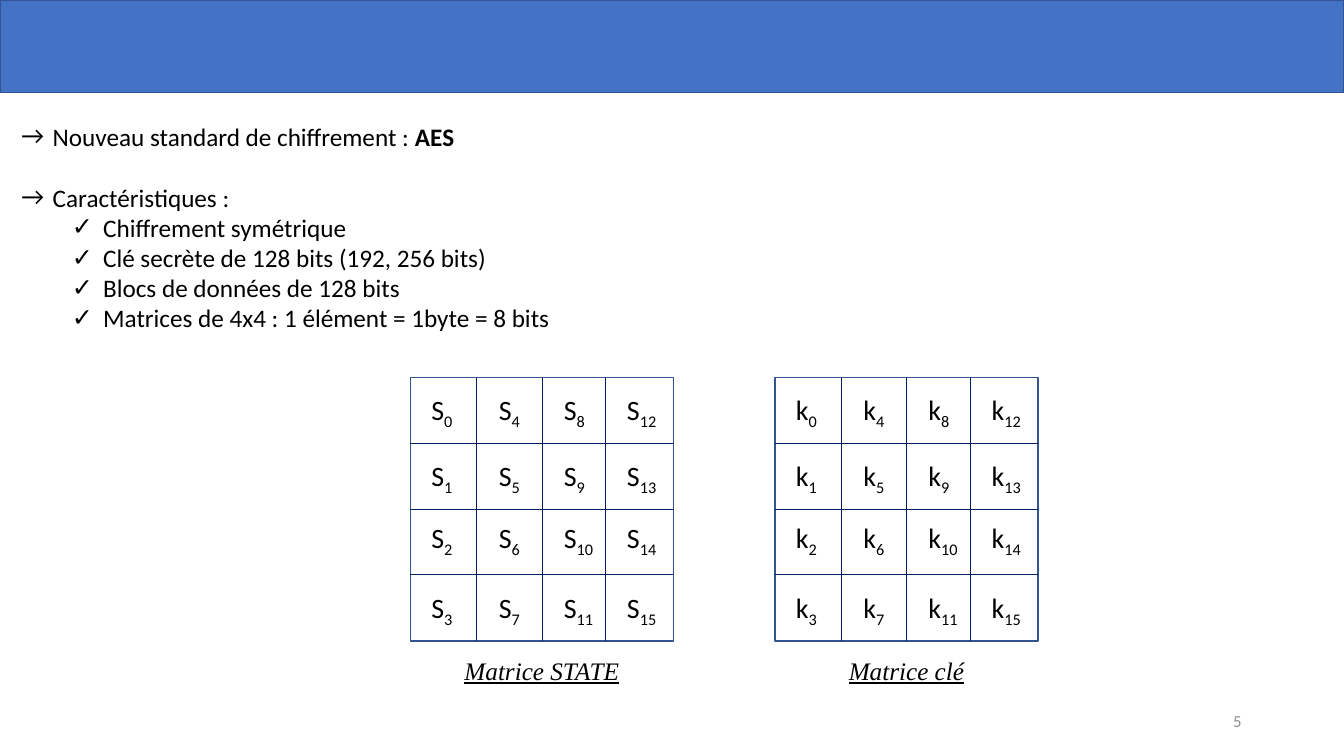
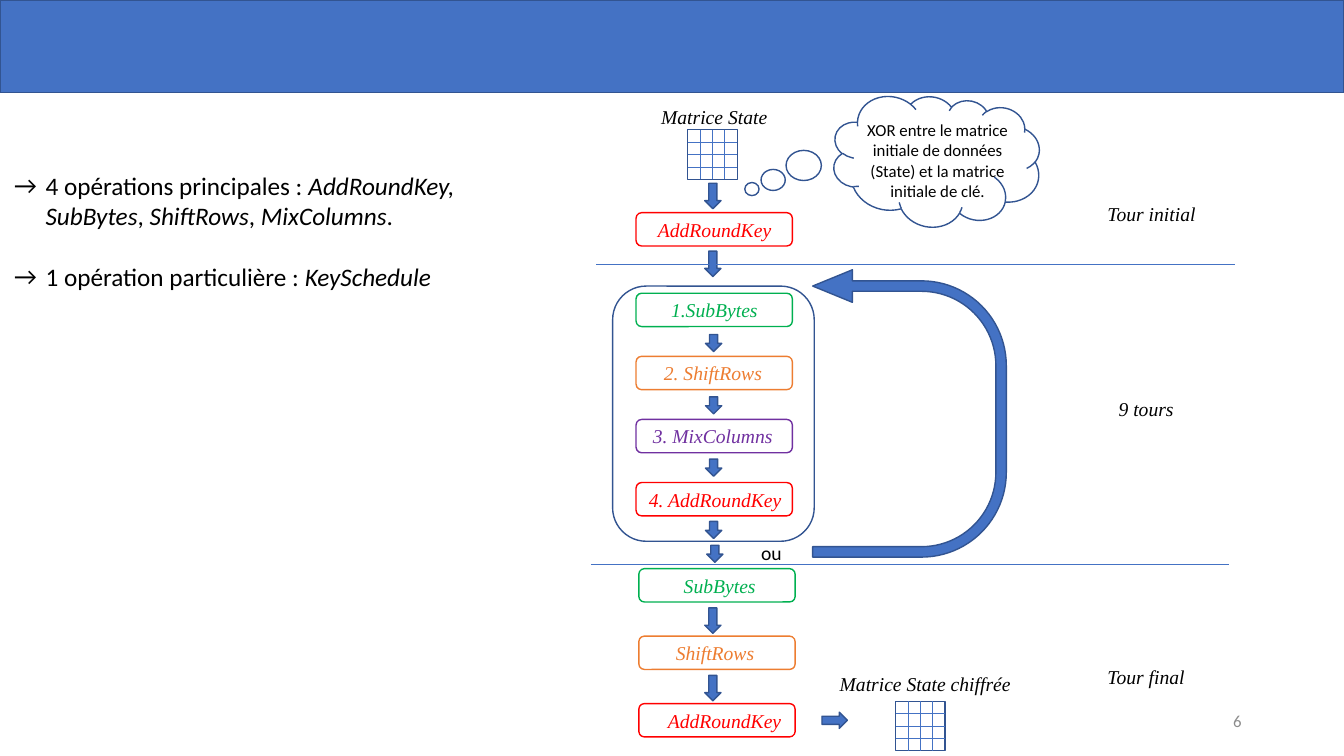
import dataclasses

import lxml.etree
import pptx
import pptx.dml.color
import pptx.enum.shapes
import pptx.enum.text
import pptx.oxml.ns
import pptx.util

Cm = pptx.util.Cm
Pt = pptx.util.Pt
RGBColor = pptx.dml.color.RGBColor
SHAPE = pptx.enum.shapes.MSO_SHAPE
ALIGN = pptx.enum.text.PP_ALIGN
ANCHOR = pptx.enum.text.MSO_ANCHOR
qn = pptx.oxml.ns.qn

BLUE = RGBColor(0x44, 0x72, 0xC4)
OUTLINE = RGBColor(0x32, 0x54, 0x91)
NAVY = RGBColor(0x00, 0x20, 0x60)
BLACK = RGBColor(0x00, 0x00, 0x00)
GREY = RGBColor(0x8C, 0x8C, 0x8C)
RED = RGBColor(0xFF, 0x00, 0x00)
GREEN = RGBColor(0x00, 0xB0, 0x50)
ORANGE = RGBColor(0xED, 0x7D, 0x31)
PURPLE = RGBColor(0x70, 0x30, 0xA0)

BODY = {"name": "Calibri", "size": Pt(18)}
CELL = {"name": "Calibri", "size": Pt(20)}
SMALL = {"name": "Calibri", "size": Pt(12)}
JOINER = {"name": "Calibri", "size": Pt(14)}
LABEL = {"name": "Times New Roman", "size": Pt(14), "italic": True}
CAPTION = {**LABEL, "size": Pt(18), "underline": True}
ITALIC = {"italic": True}
NO_MARGIN = {"margin_left": 0, "margin_right": 0, "margin_top": 0, "margin_bottom": 0}

BULLETS = ("→", "✓")
MATRIX_SIZE, ICON_SIZE = 6.63, 1.25
MATRIX_COLUMNS, MATRIX_ROWS = (1.67, 3.32, 4.92), (1.66, 3.31, 4.96)
CELL_LEFTS, CELL_TOPS = (0.28, 1.98, 3.62, 5.21), (0.25, 1.9, 3.48, 5.23)
ICON_LINES = [ICON_SIZE * index / 4 for index in range(1, 4)]
STEP_WIDTH, STEP_HEIGHT = 3.94, 0.84
ARROW_WIDTH = 0.41
SHORT_ARROW, LONG_ARROW = 0.43, 0.64


@dataclasses.dataclass(frozen=True)
class Box:
    left: float
    top: float
    width: float
    height: float

    def lengths(self):
        return [Cm(value) for value in dataclasses.astuple(self)]

    def inner(self, left, top, width, height):
        return Box(self.left + left, self.top + top, width, height)


def set_values(target, values):
    for name, value in values.items():
        setattr(target, name, value)


def add_span(para, text, style, color=BLACK):
    span = para.add_run()
    span.text = text
    set_values(span.font, style)
    span.font.color.rgb = color
    return span


def add_text(page, box, text, style, color=BLACK, align=ALIGN.LEFT, anchor=ANCHOR.TOP,
             wrap=True):
    frame = page.shapes.add_textbox(*box.lengths()).text_frame
    set_values(frame, {"word_wrap": wrap, "vertical_anchor": anchor})
    para = frame.paragraphs[0]
    para.alignment = align
    add_span(para, text, style, color)
    return para


def add_figure(page, kind, box, fill=None, outline=OUTLINE):
    figure = page.shapes.add_shape(kind, *box.lengths())
    figure.shadow.inherit = False
    if fill is None:
        figure.fill.background()
    else:
        figure.fill.solid()
        figure.fill.fore_color.rgb = fill
    figure.line.color.rgb = outline
    figure.line.width = Pt(1)
    return figure


def add_rule(page, start, end, color=BLUE):
    ends = [Cm(value) for value in (*start, *end)]
    rule = page.shapes.add_connector(pptx.enum.shapes.MSO_CONNECTOR.STRAIGHT, *ends)
    rule.line.color.rgb = color
    rule.line.width = Pt(0.5)
    lxml.etree.SubElement(rule.element.spPr, qn("a:effectLst"))


def add_page(deck, number):
    page = deck.slides.add_slide(deck.slide_layouts[6])
    add_figure(page, SHAPE.RECTANGLE, Box(0, 0, 33.87, 2.34), BLUE)
    add_text(page, Box(23.92, 17.65, 7.62, 1.02), str(number), SMALL, GREY,
             ALIGN.RIGHT, ANCHOR.MIDDLE)
    return page


def add_bullets(page, box, items):
    frame = page.shapes.add_textbox(*box.lengths()).text_frame
    frame.word_wrap = True
    for index, (level, gap, spans) in enumerate(items):
        para = frame.add_paragraph() if index else frame.paragraphs[0]
        set_values(para, {"level": level, "space_before": Pt(gap)})
        props = para._p.get_or_add_pPr()
        props.set("marL", str(Cm(0.79 + 1.27 * level)))
        props.set("indent", str(-Cm(0.79)))
        lxml.etree.SubElement(props, qn("a:buFont")).set("typeface", BODY["name"])
        lxml.etree.SubElement(props, qn("a:buChar")).set("char", BULLETS[level])
        for text, style in spans:
            add_span(para, text, {**BODY, **style})


def add_grid(page, box, columns, rows, color):
    add_figure(page, SHAPE.RECTANGLE, box)
    right, bottom = box.left + box.width, box.top + box.height
    for column in columns:
        x = box.left + column
        add_rule(page, (x, box.top), (x, bottom), color)
    for row in rows:
        y = box.top + row
        add_rule(page, (box.left, y), (right, y), color)


def add_matrix(page, box, letter, caption):
    add_grid(page, box, MATRIX_COLUMNS, MATRIX_ROWS, NAVY)
    for index in range(16):
        column, row = divmod(index, 4)
        place = box.inner(CELL_LEFTS[column], CELL_TOPS[row],
                          1.09 if index < 10 else 1.32, 1.11)
        para = add_text(page, place, letter, CELL, wrap=False)
        subscript = add_span(para, str(index), CELL)
        subscript._r.get_or_add_rPr().set("baseline", "-25000")
    add_text(page, box.inner(0, box.height + 0.23, box.width, 1.02), caption, CAPTION,
             align=ALIGN.CENTER)


def add_state_icon(page, left, top):
    add_grid(page, Box(left, top, ICON_SIZE, ICON_SIZE), ICON_LINES, ICON_LINES, BLUE)


def add_arrow(page, left, top, height):
    return add_figure(page, SHAPE.DOWN_ARROW, Box(left, top, ARROW_WIDTH, height), BLUE)


def add_flow(page, box, steps, step_pitch, arrow_left, arrow_tops, arrow_height):
    for index, (text, color, inset) in enumerate(steps):
        place = box.inner(0, index * step_pitch, STEP_WIDTH, STEP_HEIGHT)
        frame = add_figure(page, SHAPE.ROUNDED_RECTANGLE, place, outline=color).text_frame
        set_values(frame, {**NO_MARGIN, "margin_left": Cm(inset), "word_wrap": True,
                           "vertical_anchor": ANCHOR.MIDDLE})
        frame.paragraphs[0].alignment = ALIGN.LEFT
        add_span(frame.paragraphs[0], text, LABEL, color)
    for top in arrow_tops:
        add_arrow(page, box.left + arrow_left, box.top + top, arrow_height)


def add_round(page, box):
    steps = [("1.SubBytes", GREEN, 0.84), ("2. ShiftRows", ORANGE, 0.66),
             ("3. MixColumns", PURPLE, 0.38), ("4. AddRoundKey", RED, 0.28)]
    arrow_tops = [1.04 + 1.57 * index for index in range(4)]
    add_flow(page, box.inner(0.59, 0.18, STEP_WIDTH, 5.6), steps, 1.59,
             1.75, arrow_tops, SHORT_ARROW)
    add_figure(page, SHAPE.ROUNDED_RECTANGLE, box)
    loop = add_figure(page, SHAPE.U_TURN_ARROW, box.inner(3.86, 0.77, 7.24, 4.88), BLUE)
    for index, value in enumerate((0.054, 0.084, 0.205, 0.438, 1)):
        loop.adjustments[index] = value
    loop.rotation = 270
    loop.element.spPr.find(qn("a:xfrm")).set("flipV", "1")


def add_thought(page, box, text):
    add_text(page, box.inner(2.51, 0.51, 4.7, 2.31), text, SMALL, align=ALIGN.CENTER)
    for bubble in ((0, 2.21, 0.36, 0.33), (0.41, 1.88, 0.61, 0.53), (1.04, 1.4, 0.89, 0.76)):
        add_figure(page, SHAPE.OVAL, box.inner(*bubble))
    cloud = add_figure(page, SHAPE.CLOUD, box.inner(2.21, 0, 5.23, 3.33))
    cloud.rotation = 11.7


def build_matrices(deck):
    page = add_page(deck, 5)
    for left, letter, caption in ((10.34, "S", "Matrice STATE"), (19.53, "k", "Matrice clé")):
        add_matrix(page, Box(left, 9.52, MATRIX_SIZE, MATRIX_SIZE), letter, caption)
    features = ("Chiffrement symétrique", "Clé secrète de 128 bits (192, 256 bits)",
                "Blocs de données de 128 bits", "Matrices de 4x4 : 1 élément = 1byte = 8 bits")
    add_bullets(page, Box(0.29, 2.92, 14, 6.4), [
        (0, 0, [("Nouveau standard de chiffrement : ", {}), ("AES", {"bold": True})]),
        (0, 22, [("Caractéristiques :", {})]),
        *((1, 0, [(feature, {})]) for feature in features),
    ])


def build_rounds(deck):
    page = add_page(deck, 6)
    for left, top in ((17.33, 3.27), (22.57, 17.67)):
        add_state_icon(page, left, top)
    add_flow(page, Box(16.03, 5.36, STEP_WIDTH, STEP_HEIGHT), [("AddRoundKey", RED, 0.51)], 0,
             1.73, (-0.74, 0.97), LONG_ARROW)
    add_round(page, Box(15.44, 7.21, 5.08, 6.43))
    add_arrow(page, 17.81, 13.74, SHORT_ARROW)
    add_text(page, Box(18.93, 13.51, 1.04, 0.86), "ou", JOINER, wrap=False)
    final_steps = [("SubBytes", GREEN, 1.09), ("ShiftRows", ORANGE, 0.89),
                   ("AddRoundKey", RED, 0.69)]
    add_flow(page, Box(16.1, 14.33, STEP_WIDTH, 4.24), final_steps, 1.7,
             1.66, (0.99, 2.69), LONG_ARROW)
    add_arrow(page, 20.83, 17.83, LONG_ARROW).rotation = 270
    for left, top in ((15.03, 6.65), (14.89, 14.22)):
        add_rule(page, (left, top), (left + 16.09, top))
    for left, top, width, text in ((16.41, 2.52, 3.23, "Matrice State"),
                                   (20.91, 16.81, 4.88, "Matrice State chiffrée"),
                                   (27.66, 4.96, 2.74, "Tour initial"),
                                   (27.94, 9.88, 1.91, "9 tours"),
                                   (27.66, 16.64, 2.46, "Tour final")):
        add_text(page, Box(left, top, width, 0.86), text, LABEL, wrap=False)
    add_thought(page, Box(18.77, 2.39, 7.44, 3.33),
                "XOR entre le matrice initiale de données (State) et la matrice initiale de clé.")
    add_bullets(page, Box(0.11, 4.17, 13.9, 3.33), [
        (0, 0, [("4 opérations principales : ", {}), ("AddRoundKey, SubBytes", ITALIC),
                (", ", {}), ("ShiftRows", ITALIC), (", ", {}),
                ("MixColumns", ITALIC), (".", {})]),
        (0, 22, [("1 opération particulière : ", {}), ("KeySchedule", ITALIC)]),
    ])


def main():
    deck = pptx.Presentation()
    set_values(deck, {"slide_width": Cm(33.87), "slide_height": Cm(19.05)})
    build_matrices(deck)
    build_rounds(deck)
    deck.save("out.pptx")


if __name__ == "__main__":
    main()
